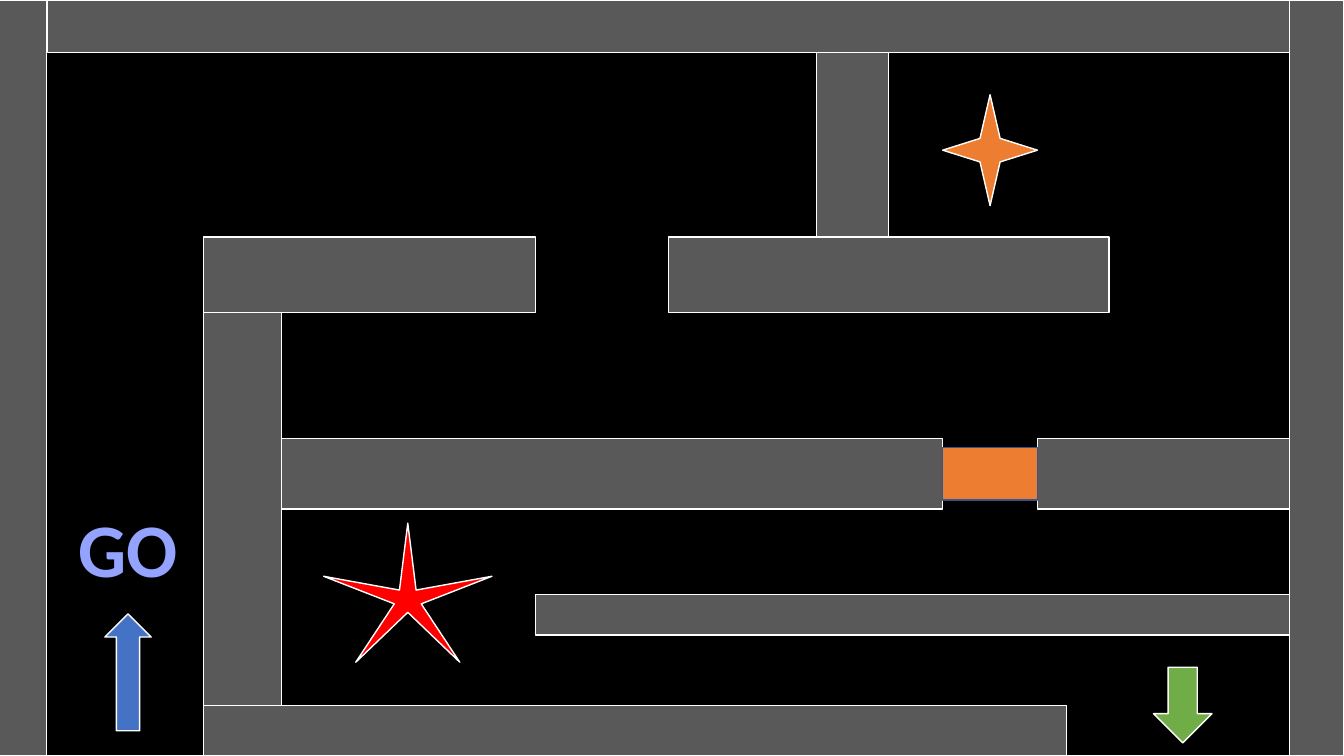
import pptx
import pptx.util
import pptx.dml.color
import pptx.enum.shapes
import pptx.enum.text

Inches = pptx.util.Inches
Pt = pptx.util.Pt
Kind = pptx.enum.shapes.MSO_SHAPE
HEX = {"floor": "000000", "wall": "595959", "edge": "FFFFFF", "red": "FF0000",
       "green": "70AD47", "orange": "ED7D31", "navy": "325491",
       "blue": "4472C4", "go": "93A3FF"}


def color(name):
    return pptx.dml.color.RGBColor.from_string(HEX[name])


def draw(kind, box, fill, line="edge"):
    shape = slide.shapes.add_shape(kind, *map(Inches, box))
    shape.shadow.inherit = False
    shape.fill.solid()
    shape.fill.fore_color.rgb = color(fill)
    shape.line.color.rgb = color(line)
    shape.line.width = Pt(1)
    return shape


deck = pptx.Presentation()
deck.slide_width = Inches(13.33)
deck.slide_height = Inches(7.5)
slide = deck.slides.add_slide(deck.slide_layouts[6])

draw(Kind.RECTANGLE, (-0.1, -0.02, 13.33, 7.5), "floor", "floor")

walls = [
    (-0.14, 0, 0.6, 7.5),
    (12.79, 0, 0.54, 7.5),
    (0.47, 0, 12.32, 0.52),
    (2.02, 7, 8.56, 0.5),
    (2.02, 3.1, 0.77, 3.9),
    (2.02, 2.35, 3.29, 0.75),
    (6.63, 2.35, 4.37, 0.75),
    (8.1, 0.52, 0.71, 1.83),
    (2.79, 4.35, 6.56, 0.7),
    (10.29, 4.35, 2.5, 0.7),
    (5.31, 5.9, 7.48, 0.4),
]
for wall in walls:
    draw(Kind.RECTANGLE, wall, "wall")

trap = draw(Kind.STAR_5_POINT, (3.21, 5.19, 1.67, 1.38), "red")
trap.adjustments[0] = 0.08
draw(Kind.DOWN_ARROW, (11.44, 6.62, 0.58, 0.75), "green")
draw(Kind.RECTANGLE, (9.35, 4.44, 0.94, 0.52), "orange", "navy")
key = draw(Kind.STAR_4_POINT, (9.35, 0.94, 0.94, 1.1), "orange")
key.adjustments[0] = 0.15
draw(Kind.UP_ARROW, (1.04, 6.09, 0.46, 1.16), "blue")

label = slide.shapes.add_textbox(*map(Inches, (0.66, 4.93, 1.22, 1.01)))
frame = label.text_frame
frame.word_wrap = False
frame.auto_size = pptx.enum.text.MSO_AUTO_SIZE.SHAPE_TO_FIT_TEXT
frame.text = "GO"
line = frame.paragraphs[0]
line.alignment = pptx.enum.text.PP_ALIGN.CENTER
font = line.runs[0].font
font.name = "Calibri"
font.size = Pt(54)
font.bold = True
font.color.rgb = color("go")

deck.save("out.pptx")
